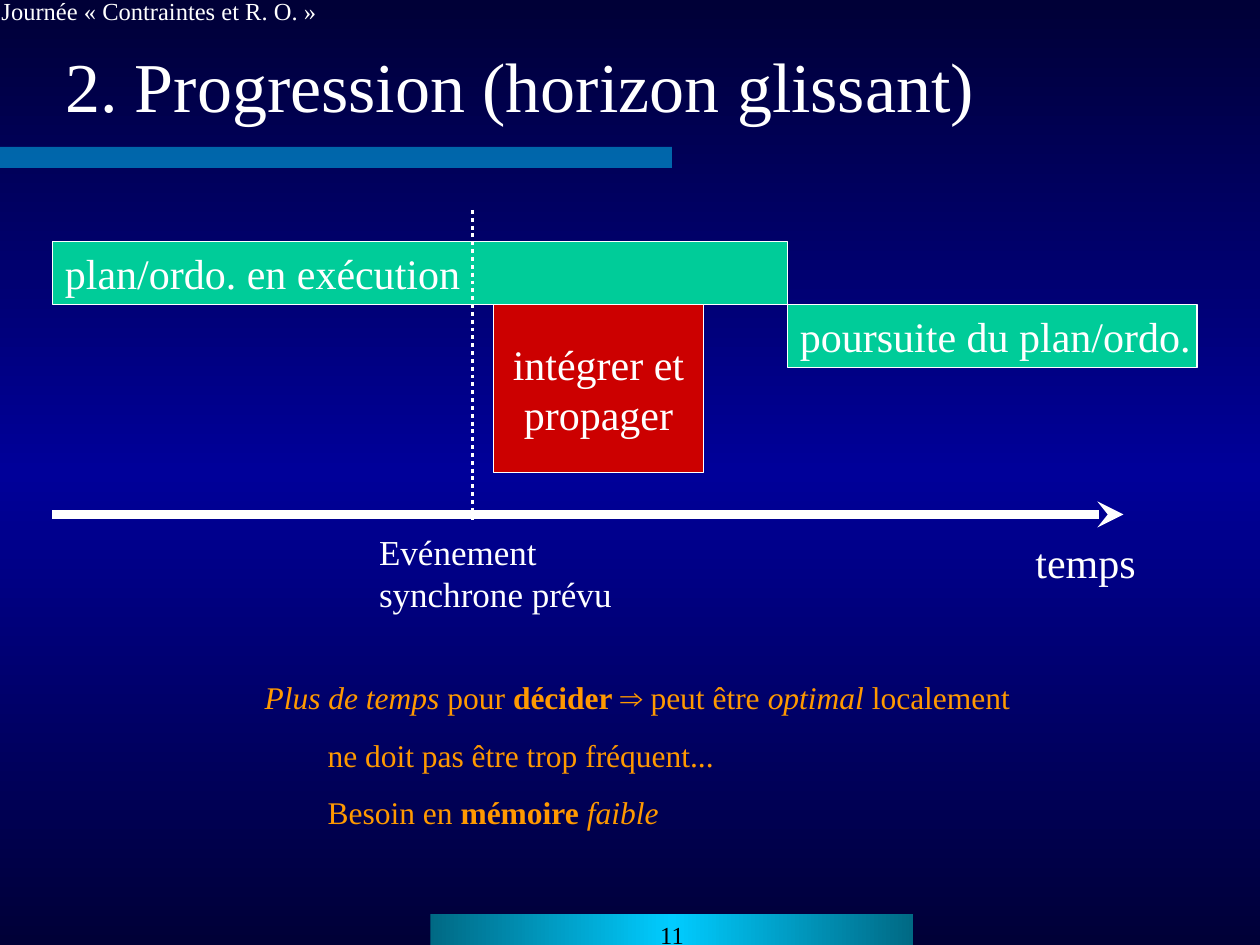
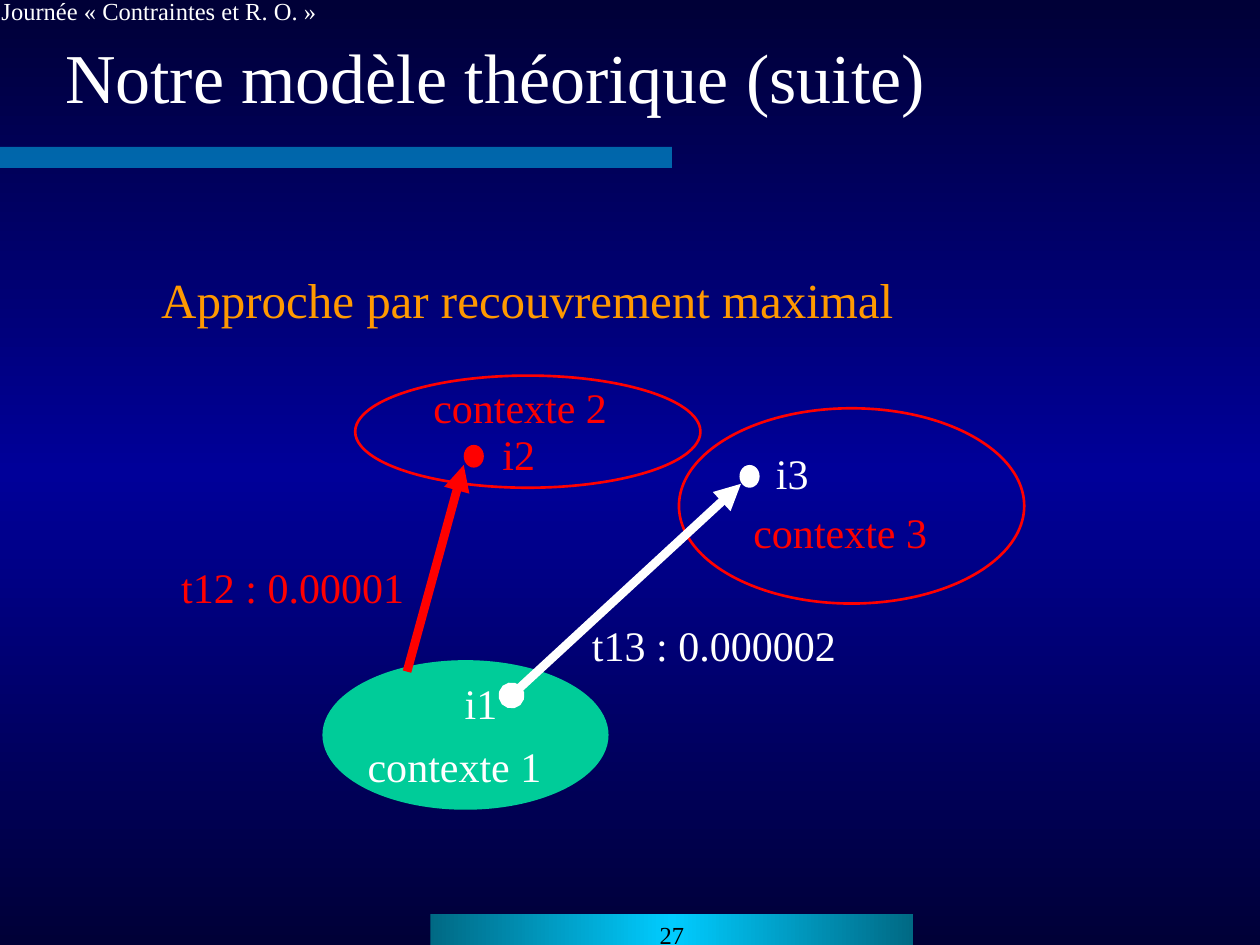
import copy
from dataclasses import dataclass

import pptx
import pptx.dml.color
import pptx.enum.dml
import pptx.enum.shapes
import pptx.enum.text
import pptx.oxml
import pptx.oxml.ns
import pptx.util

Pt = pptx.util.Pt
qn = pptx.oxml.ns.qn
SHAPES = pptx.enum.shapes.MSO_SHAPE
ALIGN = pptx.enum.text.PP_ALIGN
ANCHOR = pptx.enum.text.MSO_ANCHOR


@dataclass(frozen=True)
class Theme:
    font: str = "Times New Roman"
    symbol_font: str = "Arial"
    white: str = "FFFFFF"
    black: str = "000000"
    orange: str = "FF9900"
    green: str = "00CC99"
    dark_red: str = "CC0000"
    red: str = "FF0000"
    cyan: str = "00CCFF"
    background: tuple = ("000037", "000099", "000037")
    footer: tuple = ("006984", "00CCFF", "006984")
    title_size: int = 40
    heading_size: int = 28
    label_size: int = 24
    event_size: int = 20
    remark_size: int = 18
    small_size: int = 14


THEME = Theme()
HEADER = "Journée « Contraintes et R. O. »"


def rgb(colour):
    return pptx.dml.color.RGBColor.from_string(colour)


def apply_format(target, values):
    for name, value in values.items():
        setattr(target, name, value)


def points(box):
    return [Pt(length) for length in box]


def place(shape, box):
    apply_format(shape, dict(zip(("left", "top", "width", "height"), points(box))))


def fill_gradient(fill, element, colours, angle):
    """Spread three colours evenly over the fill that lies in element."""
    fill.gradient()
    fill.gradient_angle = angle
    stop_list = element.find(".//" + qn("a:gsLst"))
    stop_list.append(copy.deepcopy(stop_list[0]))
    for index, (stop, colour) in enumerate(zip(fill.gradient_stops, colours)):
        stop.color.rgb = rgb(colour)
        stop.position = index / 2


def format_font(font, size, colour):
    apply_format(font, {"name": THEME.font, "size": Pt(size)})
    font.color.rgb = rgb(colour)


def write(frame, text, size, colour, align=ALIGN.LEFT, anchor=ANCHOR.TOP, wrap=True):
    apply_format(frame, {
        "text": text,
        "word_wrap": wrap,
        "auto_size": pptx.enum.text.MSO_AUTO_SIZE.NONE,
        "vertical_anchor": anchor,
    })
    for paragraph in frame.paragraphs:
        paragraph.alignment = align
        for run in paragraph.runs:
            format_font(run.font, size, colour)


def add_label(slide, box, text, size=THEME.label_size, colour=THEME.white, wrap=True):
    shape = slide.shapes.add_textbox(*points(box))
    write(shape.text_frame, text, size, colour, wrap=wrap)


def add_shape(slide, kind, box, fill=None, line=None, width=1.5):
    shape = slide.shapes.add_shape(kind, *points(box))
    shape.shadow.inherit = False
    for part, colour in ((shape.fill, fill), (shape.line.fill, line)):
        if colour:
            part.solid()
            part.fore_color.rgb = rgb(colour)
        else:
            part.background()
    if line:
        shape.line.width = Pt(width)
    return shape


def add_task(slide, box, text, fill, **text_format):
    shape = add_shape(slide, SHAPES.RECTANGLE, box, fill, THEME.white, 0.75)
    write(shape.text_frame, text, THEME.label_size, THEME.white,
          anchor=ANCHOR.MIDDLE, **text_format)


def add_line(slide, start, end, colour=THEME.white, width=5, dash=None, head=None, tail=None):
    connector = slide.shapes.add_connector(
        pptx.enum.shapes.MSO_CONNECTOR.STRAIGHT, *points(start + end))
    connector.line.color.rgb = rgb(colour)
    connector.line.width = Pt(width)
    if dash:
        connector.line.dash_style = dash
    properties = connector.element.spPr
    outline = properties.find(qn("a:ln"))
    for tag, kind in (("a:headEnd", head), ("a:tailEnd", tail)):
        if kind:
            pptx.oxml.ns  # namespace helpers stay qualified
            end_mark = outline.makeelement(qn(tag), {"type": kind})
            outline.append(end_mark)
    properties.append(properties.makeelement(qn("a:effectLst"), {}))


def add_bands(slide, number):
    title_band = add_shape(slide, SHAPES.RECTANGLE, (0, 84, 384, 12), THEME.cyan)
    colour = title_band.element.spPr.find(".//" + qn("a:srgbClr"))
    colour.append(colour.makeelement(qn("a:alpha"), {"val": "50000"}))
    footer = add_shape(slide, SHAPES.RECTANGLE, (246, 522, 276, 18))
    fill_gradient(footer.fill, footer.element, THEME.footer, 0)
    write(footer.text_frame, str(number), THEME.small_size, THEME.black, ALIGN.CENTER)
    add_label(slide, (-6.2, -5.8, 194.4, 24), HEADER, THEME.small_size, wrap=False)


def add_slide(presentation, layout, title, title_box, number):
    slide = presentation.slides.add_slide(presentation.slide_layouts.get_by_name(layout))
    add_bands(slide, number)
    place(slide.shapes.title, title_box)
    write(slide.shapes.title.text_frame, title, THEME.title_size, THEME.white,
          anchor=ANCHOR.MIDDLE)
    return slide


def write_remarks(placeholder, box, remarks):
    """Fill the body with paragraphs given as (indent, [(text, font values), ...])."""
    place(placeholder, box)
    frame = placeholder.text_frame
    write(frame, "\n" * (len(remarks) - 1), THEME.remark_size, THEME.orange)
    for index, (paragraph, (indent, runs)) in enumerate(zip(frame.paragraphs, remarks)):
        properties = paragraph._p.get_or_add_pPr()
        apply_format(paragraph, {"space_before": Pt(11.2 if index else 0)})
        properties.set("marL", str(Pt(indent)))
        properties.set("indent", "0")
        properties.append(properties.makeelement(qn("a:buNone"), {}))
        for text, values in runs:
            run = paragraph.add_run()
            run.text = text
            format_font(run.font, THEME.remark_size, THEME.orange)
            apply_format(run.font, values)


def build_progression(presentation):
    slide = add_slide(presentation, "Title and Content", "2. Progression (horizon glissant)",
                      (30, 18, 678, 60), 11)
    add_line(slide, (30, 294), (642, 294), tail="stealth")
    add_label(slide, (584.6, 303, 72, 36), "temps", wrap=False)
    add_task(slide, (30, 138, 420, 36), "plan/ordo. en exécution", THEME.green, wrap=False)
    add_line(slide, (270, 120), (270, 297), width=2.25,
             dash=pptx.enum.dml.MSO_LINE.ROUND_DOT)
    add_label(slide, (209.5, 299.5, 147.6, 55.4), "Evénement\nsynchrone prévu",
              THEME.event_size, wrap=False)
    add_task(slide, (282, 174, 120, 96), "intégrer et propager", THEME.dark_red,
             align=ALIGN.CENTER)
    add_task(slide, (450, 174, 234, 36), "poursuite du plan/ordo.", THEME.green, wrap=False)
    bold, italic = {"bold": True}, {"italic": True}
    write_remarks(slide.placeholders[1], (144, 384, 456, 94.3), [
        (0, [("Plus de temps", italic), (" pour ", {}), ("décider ", bold),
             ("⇒", {"name": THEME.symbol_font}), (" peut être ", {}),
             ("optimal ", italic), ("localement", {})]),
        (36, [("ne doit pas être trop fréquent...", {})]),
        (36, [("Besoin en ", {}), ("mémoire ", bold), ("faible", italic)]),
    ])


def build_model(presentation):
    slide = add_slide(presentation, "Title Only", "Notre modèle théorique (suite)",
                      (30, 18, 556, 50.4), 27)
    add_label(slide, (85, 150.5, 538.6, 41), "Approche par recouvrement maximal",
              THEME.heading_size, THEME.orange)
    add_shape(slide, SHAPES.OVAL, (185, 378, 162, 84), THEME.green, THEME.green)
    for context in ((388, 233.3, 197.3, 111.6), (203, 214.6, 197.3, 64.1)):
        add_shape(slide, SHAPES.OVAL, context, line=THEME.red)
    add_line(slide, (292.3, 397.4), (423.4, 276.5), head="oval", tail="triangle")
    add_line(slide, (232.6, 383.8), (265, 265.7), THEME.red, tail="triangle")
    labels = [
        ("contexte 1", (203, 419.8, 131, 37.4), THEME.white),
        ("contexte 2", (240.5, 214.6, 159.8, 27.4), THEME.red),
        ("contexte 3", (423.4, 285.8, 131, 37.4), THEME.red),
        ("i1", (258.5, 383.8, 33, 27.4), THEME.white),
        ("i2", (280, 241.2, 50.4, 26.6), THEME.red),
        ("i3", (436.3, 252, 50.4, 26.6), THEME.white),
        ("t12 : 0.00001", (96.5, 317.5, 144, 27.4), THEME.red),
        ("t13 : 0.000002", (331.2, 350.6, 172.8, 27.4), THEME.white),
    ]
    for text, box, colour in labels:
        add_label(slide, box, text, colour=colour)
    for left, top, colour in ((422.6, 265.7, THEME.white), (265, 254.2, THEME.red)):
        add_shape(slide, SHAPES.OVAL, (left, top, 11.5, 13), colour)


def main():
    presentation = pptx.Presentation()
    apply_format(presentation, {"slide_width": Pt(720), "slide_height": Pt(540)})
    master = presentation.slide_master
    fill_gradient(master.background.fill, master.element, THEME.background, 90)
    build_progression(presentation)
    build_model(presentation)
    presentation.save("out.pptx")


if __name__ == "__main__":
    main()
